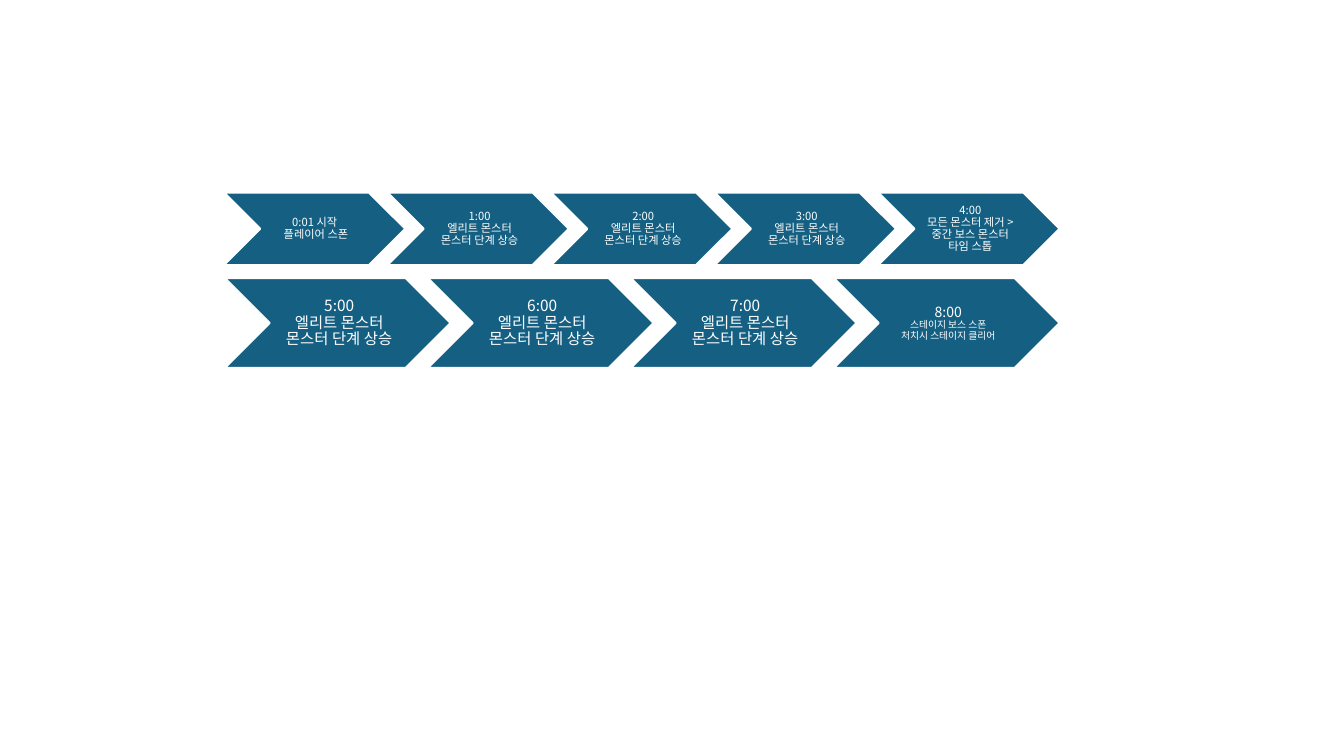
from dataclasses import dataclass

from lxml.etree import SubElement
from pptx import Presentation
from pptx.dml.color import RGBColor
from pptx.enum.shapes import MSO_SHAPE as Preset
from pptx.enum.text import MSO_ANCHOR as Anchor, PP_ALIGN as Align
from pptx.oxml.ns import qn
from pptx.shapes.group import GroupShape
from pptx.slide import Slide
from pptx.util import Inches, Pt

TEAL = RGBColor(0x15, 0x60, 0x82)
WHITE = RGBColor(0xFF, 0xFF, 0xFF)
FONT = "Noto Sans CJK KR"
ELITE_WAVE = ("엘리트 몬스터", "몬스터 단계 상승")


@dataclass(frozen=True)
class Stage:
    time: str
    events: tuple[str, ...]
    time_size: int
    event_size: int


@dataclass(frozen=True)
class Row:
    left: float
    last_left: float
    top: float
    width: float
    height: float
    left_inset: float
    inset: float
    stages: tuple[Stage, ...]


FIRST_HALF = Row(2.22, 8.71, 1.91, 1.8, 0.72, 0.04, 0.01, (
    Stage("0:01 시작 ", ("플레이어 스폰",), 8, 8),
    *(Stage(f"{minute}:00", ELITE_WAVE, 8, 8) for minute in (1, 2, 3)),
    Stage("4:00", ("모든 몬스터 제거 >", "중간 보스 몬스터", "타임 스톱"), 8, 8),
))
SECOND_HALF = Row(2.23, 8.27, 2.76, 2.24, 0.89, 0.05, 0.02, (
    *(Stage(f"{minute}:00", ELITE_WAVE, 11, 11) for minute in (5, 6, 7)),
    Stage("8:00", ("스테이지 보스 스폰", "처치시 스테이지 클리어"), 10, 7),
))


def draw_stage(group: GroupShape, row: Row, stage: Stage, left: float) -> None:
    chevron = group.shapes.add_shape(
        Preset.CHEVRON, Inches(left), Inches(row.top),
        Inches(row.width), Inches(row.height))
    chevron.shadow.inherit = False
    chevron.fill.solid()
    chevron.fill.fore_color.rgb = TEAL
    chevron.line.color.rgb = WHITE
    chevron.line.width = Pt(1.5)

    frame = chevron.text_frame
    frame.word_wrap = True
    frame.vertical_anchor = Anchor.MIDDLE
    frame.margin_left = Inches(row.left_inset)
    frame.margin_top = frame.margin_right = frame.margin_bottom = Inches(row.inset)

    caption = frame.paragraphs[0]
    caption.alignment = Align.CENTER
    caption.line_spacing = 0.9
    lines = [(stage.time, stage.time_size)]
    lines += [(event, stage.event_size) for event in stage.events]
    for index, (words, size) in enumerate(lines):
        if index:
            caption.add_line_break()
        run = caption.add_run()
        run.text = words
        run.font.size = Pt(size)
        run.font.name = FONT
        run.font.color.rgb = WHITE
        SubElement(run.font._element, qn("a:ea"), typeface=FONT)


def draw_row(slide: Slide, row: Row) -> None:
    group = slide.shapes.add_group_shape()
    step = (row.last_left - row.left) / (len(row.stages) - 1)
    for index, stage in enumerate(row.stages):
        draw_stage(group, row, stage, row.left + index * step)


def main() -> None:
    deck = Presentation()
    deck.slide_width = Inches(13.33)
    deck.slide_height = Inches(7.5)
    slide = deck.slides.add_slide(deck.slide_layouts.get_by_name("Blank"))
    for row in (FIRST_HALF, SECOND_HALF):
        draw_row(slide, row)
    deck.save("out.pptx")


if __name__ == "__main__":
    main()
